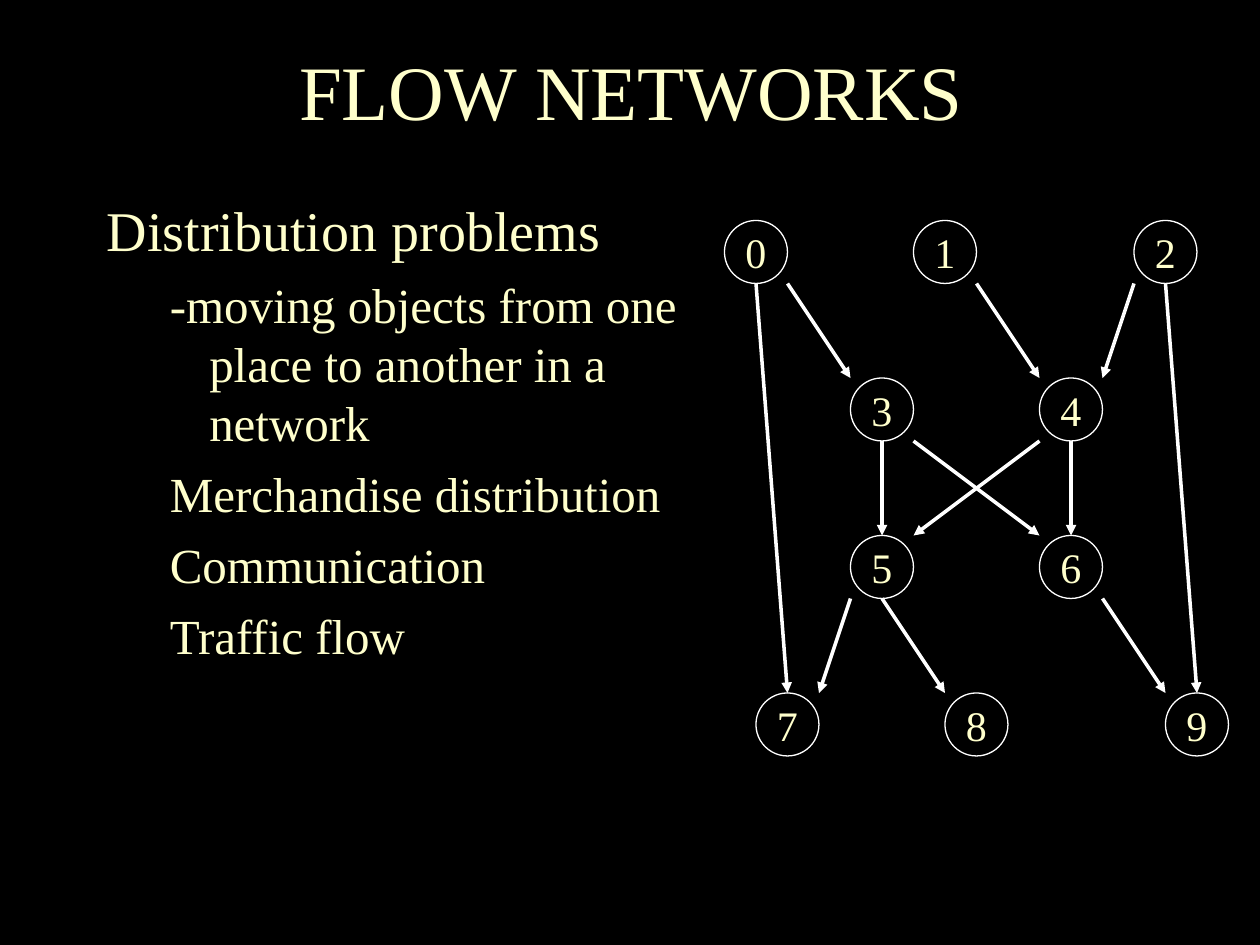
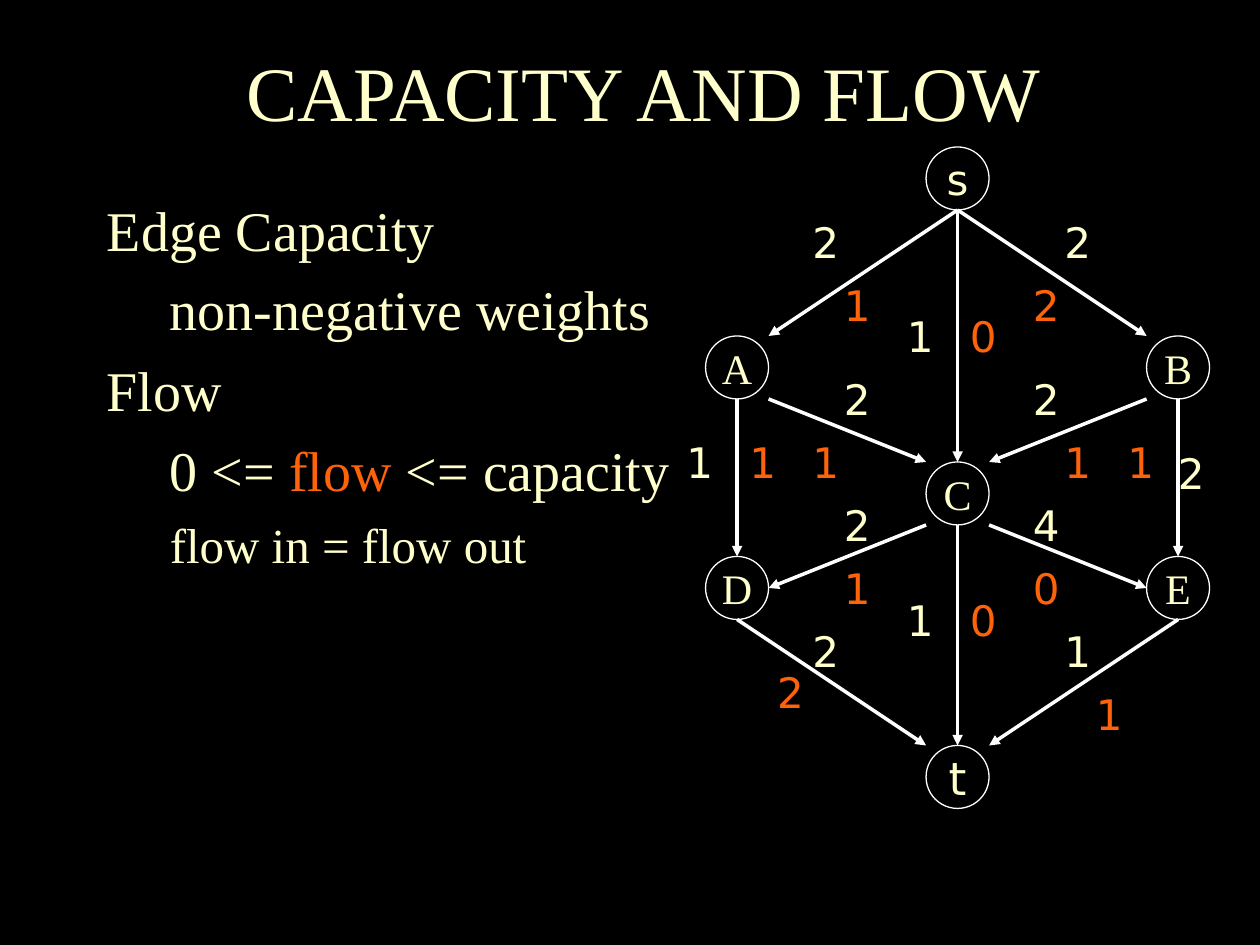
from pptx import Presentation
from pptx.dml.color import RGBColor
from pptx.enum.shapes import MSO_CONNECTOR as Connector, MSO_SHAPE as Shape
from pptx.enum.text import MSO_ANCHOR as Anchor, MSO_AUTO_SIZE as AutoSize, PP_ALIGN as Align
from pptx.oxml.ns import qn
from pptx.util import Pt
from lxml.etree import SubElement

# Shared style
COLORS = {"background": "000000", "text": "FFFFCC", "flow": "FF6309", "line": "FFFFFF"}
SERIF, SANS = "Times New Roman", "DejaVu Sans"
GRID, NODE = 18, 36
LABEL_SIZE = 24

# Outline levels: (left margin, hanging indent, space before)
LEVELS = [(27, 27, 8), (58.5, 22.5, 7)]

# Corners and side middles of a node, as fractions of its box
ANCHORS = {"t": (0.5, 0), "b": (0.5, 1), "l": (0, 0.5), "r": (1, 0.5),
           "tl": (0, 0), "tr": (1, 0), "bl": (0, 1), "br": (1, 1)}

# Content: body lines are (level, size, [(text, color)]),
# nodes and labels sit on grid columns and rows from the graph's origin
SLIDES = [
    {
        "title": "FLOW NETWORKS", "title_at": (10.8, 23),
        "body_width": 342,
        "body": [
            (0, 32, [("Distribution problems", "text")]),
            (1, 28, [("-moving objects from one place to another in a network", "text")]),
            (1, 28, [("Merchandise distribution", "text")]),
            (1, 28, [("Communication", "text")]),
            (1, 28, [("Traffic flow", "text")]),
        ],
        "origin": (414, 126),
        "nodes": {"0": (0, 0), "1": (6, 0), "2": (13, 0), "3": (4, 5), "4": (10, 5),
                  "5": (4, 10), "6": (10, 10), "7": (1, 15), "8": (7, 15), "9": (14, 15)},
        "edges": ["0 br 3 tl", "0 b 7 t", "1 br 4 tl", "2 bl 4 tr", "2 b 9 t", "3 b 5 t",
                  "3 br 6 tl", "4 bl 5 tr", "4 b 6 t", "5 bl 7 tr", "5 b 8 tl", "6 br 9 tl"],
        "labels": {},
    },
    {
        "title": "CAPACITY AND FLOW", "title_at": (18, 23.8),
        "body_width": 360,
        "body": [
            (0, 32, [("Edge Capacity", "text")]),
            (1, 32, [("non-negative weights", "text")]),
            (0, 32, [("Flow", "text")]),
            (1, 32, [("0 <= ", "text"), ("flow", "flow"), (" <= capacity", "text")]),
            (1, 28, [("flow in = flow out", "text")]),
        ],
        "origin": (403.2, 84),
        "nodes": {"s": (7, 0), "A": (0, 6), "B": (14, 6), "C": (7, 10),
                  "D": (0, 13), "E": (14, 13), "t": (7, 19)},
        "edges": ["s b A tr", "s b B tl", "s b C t", "A b D t", "A br C tl", "B bl C tr",
                  "B b E t", "C bl D r", "C br E l", "C b t t", "D b t tl", "E b t tr"],
        "labels": {
            "text": [("2", 3, 2), ("2", 11, 2), ("1", 6, 5), ("2", 4, 7), ("2", 10, 7),
                     ("1", -1, 9), ("2", 14.6, 9.33), ("2", 4, 11), ("4", 10, 11),
                     ("1", 6, 14), ("2", 3, 15), ("1", 11, 15)],
            "flow": [("1", 4, 4), ("2", 10, 4), ("0", 8, 5), ("1", 1, 9), ("1", 3, 9),
                     ("1", 11, 9), ("1", 13, 9), ("1", 4, 13), ("0", 10, 13),
                     ("0", 8, 14), ("2", 1.88, 16.3), ("1", 12, 17)],
        },
    },
]
# Node letters set apart from the serif ones: (font, size)
NODE_FONTS = {"s": (SANS, 24), "t": (SANS, 26)}


def rgb(name):
    return RGBColor.from_string(COLORS[name])


def add_run(paragraph, text, size, color="text", font=SERIF):
    run = paragraph.add_run()
    run.text = text
    run.font.size, run.font.name = Pt(size), font
    run.font.color.rgb = rgb(color)


def add_box(slide, left, top, width, height):
    frame = slide.shapes.add_textbox(Pt(left), Pt(top), Pt(width), Pt(height)).text_frame
    frame.word_wrap = True
    return frame


def add_title(slide, text, left, top):
    frame = add_box(slide, left, top, 700, 56.2)
    frame.vertical_anchor = Anchor.MIDDLE
    frame.auto_size = AutoSize.SHAPE_TO_FIT_TEXT
    frame.paragraphs[0].alignment = Align.CENTER
    add_run(frame.paragraphs[0], text, 44)


def add_body(slide, lines, width):
    frame = add_box(slide, 54, 108, width, 412)
    for index, (level, size, runs) in enumerate(lines):
        paragraph = frame.add_paragraph() if index else frame.paragraphs[0]
        margin, hanging, before = LEVELS[level]
        paragraph.space_before = Pt(before)
        properties = paragraph._p.get_or_add_pPr()
        properties.set("marL", str(Pt(margin)))
        properties.set("indent", str(-Pt(hanging)))
        for text, color in runs:
            add_run(paragraph, text, size, color)


def add_node(slide, name, left, top):
    shape = slide.shapes.add_shape(Shape.OVAL, Pt(left), Pt(top), Pt(NODE), Pt(NODE))
    shape.shadow.inherit = False
    shape.fill.background()
    shape.line.color.rgb = rgb("line")
    shape.line.width = Pt(0)
    frame = shape.text_frame
    frame.word_wrap = False
    frame.vertical_anchor = Anchor.MIDDLE
    frame.paragraphs[0].alignment = Align.CENTER
    font, size = NODE_FONTS.get(name, (SERIF, LABEL_SIZE))
    add_run(frame.paragraphs[0], name, size, font=font)


def add_edge(slide, start, end):
    connector = slide.shapes.add_connector(Connector.STRAIGHT, *map(Pt, start + end))
    connector.line.color.rgb = rgb("line")
    connector.line.width = Pt(0)
    SubElement(connector.line._get_or_add_ln(), qn("a:tailEnd"), type="triangle")
    SubElement(connector._element.spPr, qn("a:effectLst"))


def add_graph(slide, origin, nodes, edges, labels):
    def place(column, row):
        return origin[0] + column * GRID, origin[1] + row * GRID

    def anchor(name, side):
        left, top = place(*nodes[name])
        across, down = ANCHORS[side]
        return left + across * NODE, top + down * NODE

    for name, cell in nodes.items():
        add_node(slide, name, *place(*cell))
    for edge in edges:
        source, source_side, target, target_side = edge.split()
        add_edge(slide, anchor(source, source_side), anchor(target, target_side))
    for color, entries in labels.items():
        for text, column, row in entries:
            frame = add_box(slide, *place(column, row), NODE, NODE)
            add_run(frame.paragraphs[0], text, LABEL_SIZE, color, SANS)


def main():
    presentation = Presentation()
    presentation.slide_width, presentation.slide_height = Pt(720), Pt(540)
    for content in SLIDES:
        slide = presentation.slides.add_slide(presentation.slide_layouts[6])
        slide.background.fill.solid()
        slide.background.fill.fore_color.rgb = rgb("background")
        add_title(slide, content["title"], *content["title_at"])
        add_body(slide, content["body"], content["body_width"])
        add_graph(slide, content["origin"], content["nodes"], content["edges"],
                  content["labels"])
    presentation.save("out.pptx")


if __name__ == "__main__":
    main()
